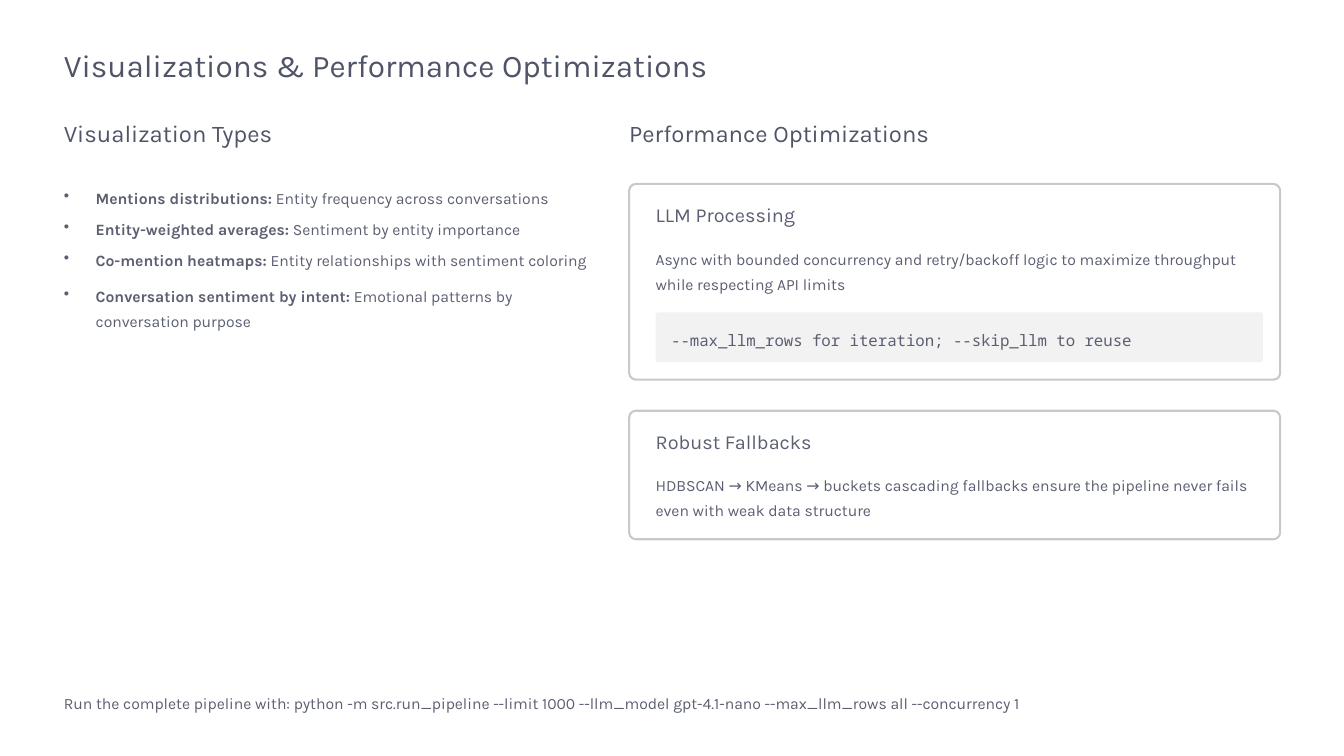
from lxml.etree import SubElement
from pptx import Presentation
from pptx.dml.color import RGBColor
from pptx.enum.shapes import MSO_SHAPE
from pptx.oxml.ns import qn
from pptx.util import Inches, Pt

COLS, ROWS = 160, 90
WIDTH, HEIGHT = Inches(16), Inches(9)

HEADING = RGBColor(0x50, 0x54, 0x68)
BODY = RGBColor(0x5B, 0x5F, 0x71)
BORDER = RGBColor(0xC8, 0xC9, 0xCF)
WHITE = RGBColor(0xFF, 0xFF, 0xFF)
CODE_FILL = RGBColor(0xF2, 0xF2, 0xF2)

STYLES = {
    "title": {"size": 27, "leading": 34, "name": "Karla", "color": HEADING},
    "section": {"size": 20.5, "leading": 25.5, "name": "Karla", "color": HEADING},
    "card": {"size": 17, "leading": 21, "name": "Karla", "color": BODY},
    "body": {"size": 13.5, "leading": 21.5, "name": "Karla", "color": BODY},
    "code": {"size": 13.5, "leading": 21.5, "name": "Noto Sans Mono", "color": BODY},
}

LEFT, RIGHT, MARGIN_END = 7.6, 74.9, 152.4
RADIUS = 0.8
INDENT = 3.8

VISUALIZATIONS = [
    ("Mentions distributions:", " Entity frequency across conversations", 0),
    ("Entity-weighted averages:", " Sentiment by entity importance", 5.2),
    ("Co-mention heatmaps:", " Entity relationships with sentiment coloring", 5.2),
    ("Conversation sentiment by intent:", " Emotional patterns by conversation purpose", 9.5),
]


def col(n):
    return round(WIDTH * n / COLS)


def row(n):
    return round(HEIGHT * n / ROWS)


def place(box):
    x, y, w, h = box
    return col(x), row(y), col(w), row(h)


def add_frame(s, box):
    tf = s.shapes.add_textbox(*place(box)).text_frame
    tf.word_wrap = True
    for side in ("left", "right", "top", "bottom"):
        setattr(tf, f"margin_{side}", 0)
    return tf


def add_run(p, text, style, bold=False):
    fmt = STYLES[style]
    p.line_spacing = Pt(fmt["leading"])
    r = p.add_run()
    r.text = text
    for key, value in {"name": fmt["name"], "size": Pt(fmt["size"]), "bold": bold}.items():
        setattr(r.font, key, value)
    r.font.color.rgb = fmt["color"]


def add_text(s, box, text, style):
    add_run(add_frame(s, box).paragraphs[0], text, style)


def add_panel(s, box, fill, radius, border=None):
    sp = s.shapes.add_shape(MSO_SHAPE.ROUNDED_RECTANGLE, *place(box))
    sp.adjustments[0] = radius / min(box[2:])
    sp.shadow.inherit = False
    sp.fill.solid()
    sp.fill.fore_color.rgb = fill
    if border is None:
        sp.line.fill.background()
    else:
        sp.line.color.rgb = border
        sp.line.width = Pt(1.8)


def add_bullets(s, box, items):
    tf = add_frame(s, box)
    for i, (label, detail, gap) in enumerate(items):
        p = tf.paragraphs[0] if i == 0 else tf.add_paragraph()
        pPr = p._p.get_or_add_pPr()
        pPr.set("marL", str(col(INDENT)))
        pPr.set("indent", str(-col(INDENT)))
        SubElement(pPr, qn("a:buChar"), char="•")
        p.space_before = Pt(gap)
        add_run(p, label, "body", bold=True)
        add_run(p, detail, "body")


def add_visualizations(s, box):
    x, y, w, h = box
    add_text(s, (x, y, w, 3.6), "Visualization Types", "section")
    add_bullets(s, (x, y + 7.7, w, h - 7.7), VISUALIZATIONS)


def add_card(s, box, heading, text, code=None):
    x, y, w, h = box
    inner_x, inner_w = x + 3.15, w - 5.2
    add_panel(s, box, WHITE, RADIUS, BORDER)
    add_text(s, (inner_x, y + 2.2, inner_w, 3), heading, "card")
    add_text(s, (inner_x, y + 7.05, inner_w, 6.1), text, "body")
    if code:
        add_panel(s, (inner_x, y + 15.3, inner_w, 5.9), CODE_FILL, 0.3)
        add_text(s, (inner_x + 1.85, y + 16.7, inner_w - 3.7, 3), code, "code")


def add_optimizations(s, box):
    x, y, w, h = box
    add_text(s, (x, y, w, 3.6), "Performance Optimizations", "section")
    add_card(s, (x, y + 7.9, w, 23.3), "LLM Processing",
             "Async with bounded concurrency and retry/backoff logic to maximize "
             "throughput while respecting API limits",
             "--max_llm_rows for iteration; --skip_llm to reuse")
    add_card(s, (x, y + h - 15.3, w, 15.3), "Robust Fallbacks",
             "HDBSCAN → KMeans → buckets cascading fallbacks ensure the pipeline "
             "never fails even with weak data structure")


def main():
    prs = Presentation()
    prs.slide_width, prs.slide_height = WIDTH, HEIGHT
    s = prs.slides.add_slide(prs.slide_layouts[6])
    full = MARGIN_END - LEFT
    add_text(s, (LEFT, 5.2, full, 4.8), "Visualizations & Performance Optimizations", "title")
    add_visualizations(s, (LEFT, 14, 62.6, 25.5))
    add_optimizations(s, (RIGHT, 14, MARGIN_END - RIGHT, 50.2))
    add_text(s, (LEFT, 81.8, full, 3),
             "Run the complete pipeline with: python -m src.run_pipeline --limit 1000 "
             "--llm_model gpt-4.1-nano --max_llm_rows all --concurrency 1", "body")
    prs.save("out.pptx")


if __name__ == "__main__":
    main()
